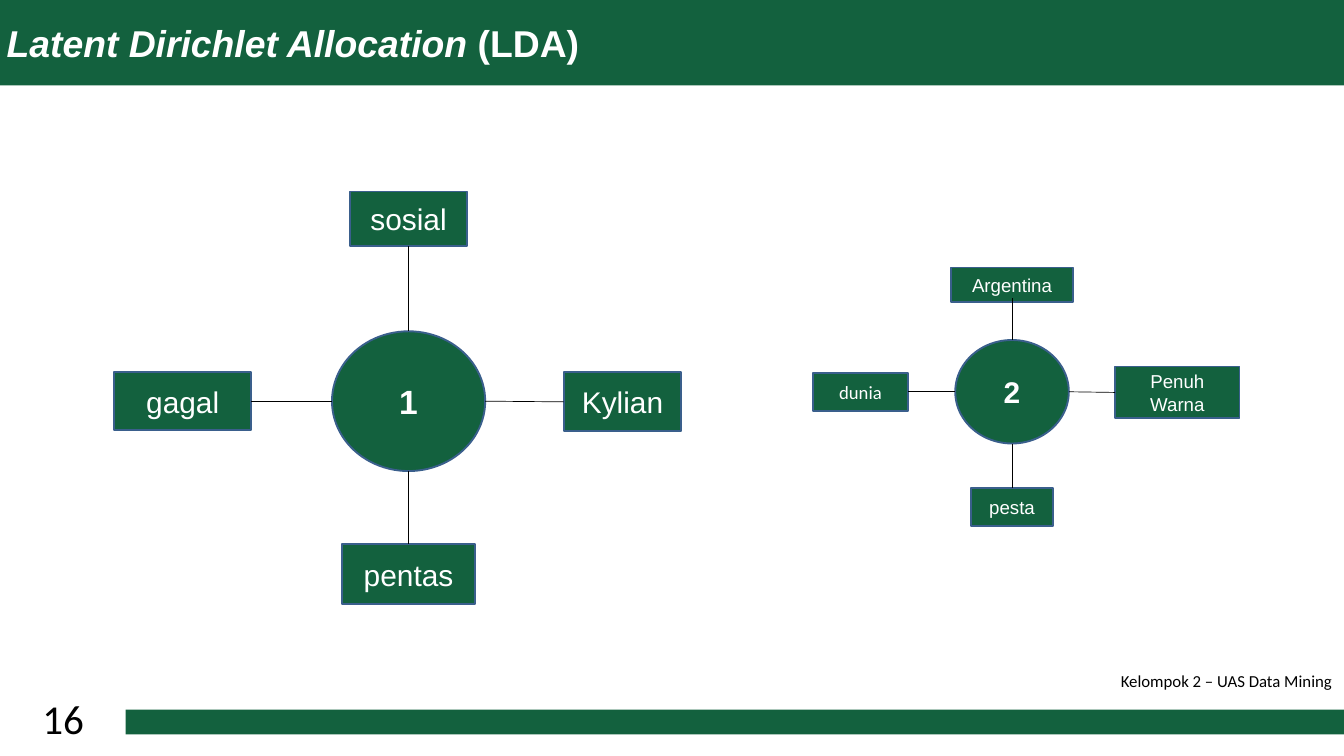
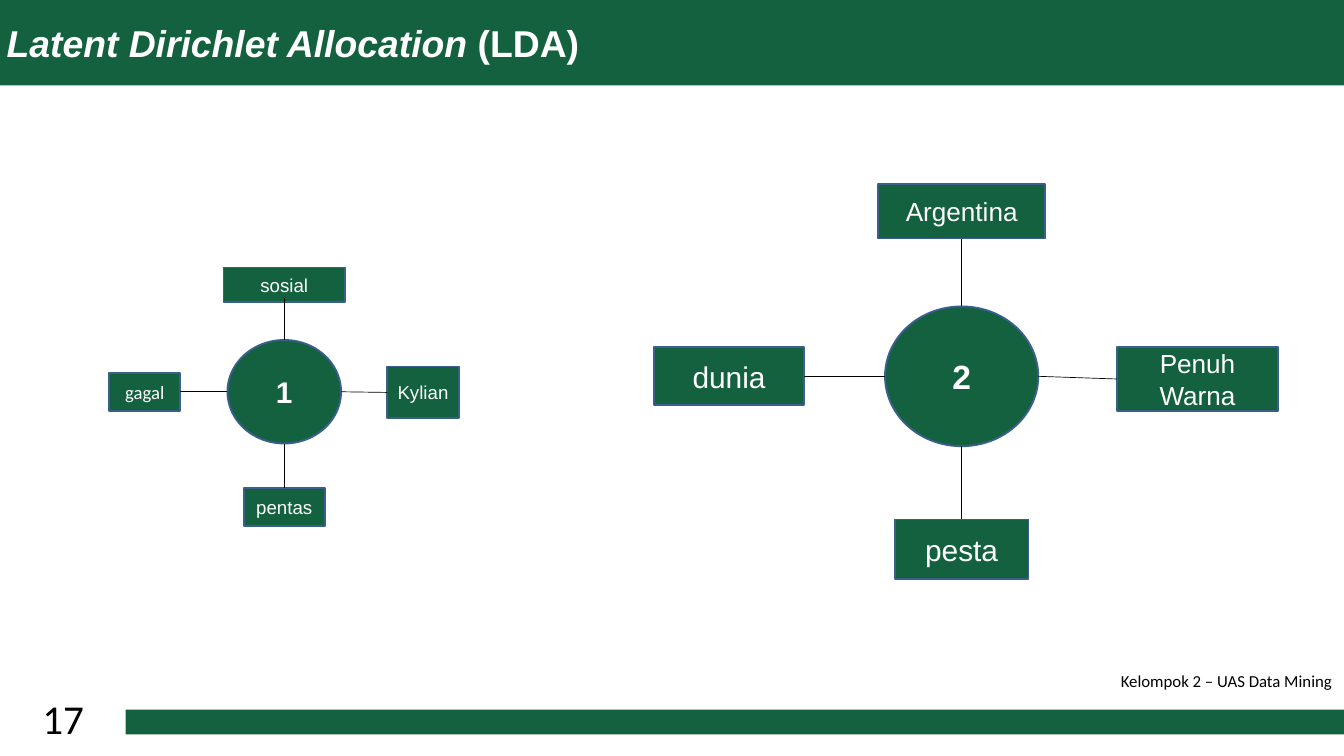
from dataclasses import dataclass

from lxml import etree
from pptx import Presentation
from pptx.dml.color import RGBColor
from pptx.enum.shapes import MSO_CONNECTOR, MSO_SHAPE
from pptx.enum.text import MSO_ANCHOR, MSO_AUTO_SIZE, PP_ALIGN
from pptx.oxml.ns import qn
from pptx.util import Pt

RECTANGLE, OVAL = MSO_SHAPE.RECTANGLE, MSO_SHAPE.OVAL
STRAIGHT = MSO_CONNECTOR.STRAIGHT
LEFT, CENTER = PP_ALIGN.LEFT, PP_ALIGN.CENTER
TOP, MIDDLE = MSO_ANCHOR.TOP, MSO_ANCHOR.MIDDLE
FIT_SHAPE = MSO_AUTO_SIZE.SHAPE_TO_FIT_TEXT

PX = 9144
PAGE_SIZE = (2000, 1125)


@dataclass(frozen=True)
class Theme:
    green: str = "13613E"
    outline: str = "3A5F8C"
    white: str = "FFFFFF"
    black: str = "000000"
    heading_font: str = "Arial"
    body_font: str = "Calibri"
    title_size: int = 40
    footer_size: int = 18
    page_number_size: int = 44
    outline_width: float = 2
    spoke_width: float = 0.75


THEME = Theme()

TITLE = [("Latent Dirichlet Allocation ", True), ("(LDA)", False)]
FOOTER = "Kelompok 2 – UAS Data Mining"

TITLE_BAND = (0, 0, 2000, 127)
FOOTER_BAND = (187, 1056, 1815, 37)
FOOTER_BOX = (1658, 993, 344, 40)
PAGE_NUMBER_BOX = (36, 1027, 116, 84)

DIRECTIONS = {"left": (-1, 0), "right": (1, 0), "top": (0, -1), "bottom": (0, 1)}

HUBS = {
    "large": {
        "size": (228, 208),
        "number_size": 36,
        "gaps": {"left": 120, "right": 117, "bottom": 109},
        "left_font": THEME.heading_font,
        "top_overlap": 0,
    },
    "small": {
        "size": (169, 154),
        "number_size": 32,
        "gaps": {"left": 70, "right": 69, "bottom": 66},
        "left_font": THEME.body_font,
        "top_overlap": 7,
    },
}

PAGES = [
    (16, [
        {"topic": "1", "hub": "large", "center": (608, 597), "top_gap": 127, "right_drop": 1,
         "words": [("left", "gagal", 204, 86, 32), ("bottom", "pentas", 199, 89, 32),
                   ("right", "Kylian", 175, 88, 32), ("top", "sosial", 175, 81, 32)]},
        {"topic": "2", "hub": "small", "center": (1506, 583), "top_gap": 56, "right_drop": 1,
         "words": [("left", "dunia", 142, 57, 20), ("bottom", "pesta", 121, 57, 20),
                   ("right", "Penuh Warna", 185, 77, 20), ("top", "Argentina", 181, 52, 20)]},
    ]),
    (17, [
        {"topic": "1", "hub": "small", "center": (423, 583), "top_gap": 56, "right_drop": 1,
         "words": [("left", "gagal", 106, 57, 20), ("bottom", "pentas", 121, 57, 20),
                   ("right", "Kylian", 106, 77, 20), ("top", "sosial", 181, 52, 20)]},
        {"topic": "2", "hub": "large", "center": (1431, 560), "top_gap": 101, "right_drop": 4,
         "words": [("left", "dunia", 224, 86, 32), ("bottom", "pesta", 199, 89, 32),
                   ("right", "Penuh Warna", 240, 95, 28), ("top", "Argentina", 249, 81, 28)]},
    ]),
]


def emu(lengths):
    return [round(length * PX) for length in lengths]


def write(box, spans, align=CENTER, anchor=MIDDLE, wrap=True, color=THEME.white, **font):
    frame = box.text_frame
    frame.word_wrap = wrap
    frame.vertical_anchor = anchor
    para = frame.paragraphs[0]
    para.alignment = align
    for text, italic in spans:
        span = para.add_run()
        span.text = text
        for name, value in {**font, "italic": italic}.items():
            setattr(span.font, name, value)
        span.font.color.rgb = RGBColor.from_string(color)


def add_block(page, kind, area, outlined=False):
    block = page.shapes.add_shape(kind, *emu(area))
    block.shadow.inherit = False
    block.fill.solid()
    block.fill.fore_color.rgb = RGBColor.from_string(THEME.green)
    if outlined:
        block.line.color.rgb = RGBColor.from_string(THEME.outline)
        block.line.width = Pt(THEME.outline_width)
    else:
        block.line.fill.background()
    return block


def add_caption(page, area, text, size, align, wrap):
    box = page.shapes.add_textbox(*emu(area))
    write(box, [(text, False)], align, TOP, wrap, THEME.black,
          name=THEME.body_font, size=Pt(size))
    box.text_frame.auto_size = FIT_SHAPE


def add_spoke(page, start, end):
    spoke = page.shapes.add_connector(STRAIGHT, *emu(start + end))
    spoke.line.color.rgb = RGBColor.from_string(THEME.black)
    spoke.line.width = Pt(THEME.spoke_width)
    etree.SubElement(spoke._element.spPr, qn("a:effectLst"))


def add_node(page, kind, center, extent, text, **font):
    (x, y), (width, height) = center, extent
    node = add_block(page, kind, (x - width / 2, y - height / 2, width, height), True)
    write(node, [(text, False)], **font)


def add_cluster(page, cluster):
    hub = HUBS[cluster["hub"]]
    hub_x, hub_y = cluster["center"]
    hub_width, hub_height = hub["size"]
    add_node(page, OVAL, cluster["center"], hub["size"], cluster["topic"],
             name=THEME.heading_font, size=Pt(hub["number_size"]), bold=True)
    gaps = {**hub["gaps"], "top": cluster["top_gap"]}
    for side, word, width, height, size in cluster["words"]:
        across, down = DIRECTIONS[side]
        drop = cluster["right_drop"] if side == "right" else 0
        overlap = hub["top_overlap"] if side == "top" else 0
        start = (hub_x + across * hub_width / 2, hub_y + down * hub_height / 2)
        edge = (start[0] + across * gaps[side], start[1] + down * gaps[side] + drop)
        center = (edge[0] + across * width / 2, edge[1] + down * height / 2)
        font = hub["left_font"] if side == "left" else THEME.heading_font
        add_node(page, RECTANGLE, center, (width, height), word, name=font, size=Pt(size))
        add_spoke(page, start, (edge[0], edge[1] + down * overlap))


def add_page(deck, number, clusters):
    page = deck.slides.add_slide(deck.slide_layouts[6])
    title = add_block(page, RECTANGLE, TITLE_BAND)
    write(title, TITLE, LEFT, name=THEME.heading_font, size=Pt(THEME.title_size), bold=True)
    add_block(page, RECTANGLE, FOOTER_BAND)
    add_caption(page, FOOTER_BOX, FOOTER, THEME.footer_size, LEFT, False)
    for cluster in clusters:
        add_cluster(page, cluster)
    add_caption(page, PAGE_NUMBER_BOX, str(number), THEME.page_number_size, CENTER, True)


def main():
    deck = Presentation()
    deck.slide_width, deck.slide_height = emu(PAGE_SIZE)
    for number, clusters in PAGES:
        add_page(deck, number, clusters)
    deck.save("out.pptx")


if __name__ == "__main__":
    main()
